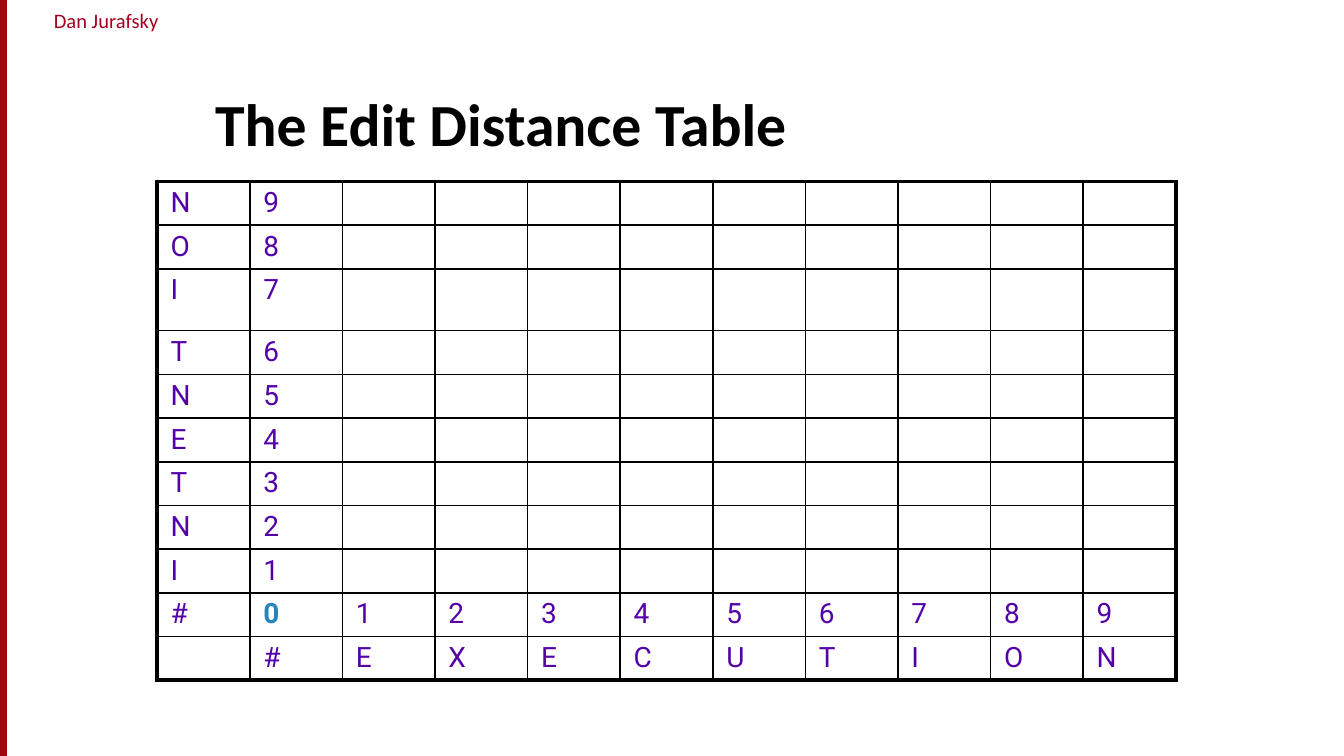
from lxml import etree
from pptx import Presentation
from pptx.dml.color import RGBColor
from pptx.enum.shapes import MSO_SHAPE
from pptx.enum.text import MSO_ANCHOR, PP_ALIGN
from pptx.oxml.ns import qn
from pptx.util import Inches, Pt

RECTANGLE = MSO_SHAPE.RECTANGLE
LEFT, CENTER = PP_ALIGN.LEFT, PP_ALIGN.CENTER
TOP, BOTTOM = MSO_ANCHOR.TOP, MSO_ANCHOR.BOTTOM

BLACK = RGBColor(0x00, 0x00, 0x00)
PURPLE = RGBColor(0x54, 0x00, 0xA8)
BLUE = RGBColor(0x25, 0x84, 0xBB)
CRIMSON = RGBColor(0xA4, 0x00, 0x1D)
RED = RGBColor(0xA4, 0x05, 0x08)

# Content
AUTHOR = "Dan Jurafsky"
TITLE = "The Edit Distance Table"
SOURCE_WORD = "INTENTION"
TARGET_WORD = "EXECUTION"
START = "#"

# Geometry in inches, margins and lines in points
SLIDE_WIDTH = 10
SLIDE_HEIGHT = SLIDE_WIDTH * 9 / 16
BAR_WIDTH = 0.05
TABLE_LEFT, TABLE_TOP, TABLE_WIDTH, TABLE_HEIGHT = 1.17, 1.35, 7.58, 3.71
TALL_ROW, TALL_HEIGHT = 2, 0.46
CELL_MARGINS = (7.2, 2.7)
OUTER_LINE, INNER_LINE = Pt(2.25), Pt(1)


def write(frame, text, font="Calibri", size=15, color=BLACK, bold=False,
          align=LEFT, anchor=TOP, margins=(7.2, 3.6)):
    frame.word_wrap = True
    frame.vertical_anchor = anchor
    frame.margin_left = frame.margin_right = Pt(margins[0])
    frame.margin_top = frame.margin_bottom = Pt(margins[1])
    paragraph = frame.paragraphs[0]
    paragraph.alignment = align
    run = paragraph.add_run()
    run.text = text
    run.font.name = font
    run.font.size = Pt(size)
    run.font.bold = bold
    run.font.color.rgb = color


def style_cell(cell, row, column, last_row, last_column):
    """Clear the fill, fix the margins and draw the four borders."""
    cell.fill.background()
    cell.margin_left = cell.margin_right = Pt(CELL_MARGINS[0])
    cell.margin_top = cell.margin_bottom = Pt(CELL_MARGINS[1])
    properties = cell._tc.get_or_add_tcPr()
    on_edge = {"a:lnL": column == 0, "a:lnR": column == last_column,
               "a:lnT": row == 0, "a:lnB": row == last_row}
    for index, (tag, is_outer) in enumerate(on_edge.items()):
        line = etree.Element(qn(tag), w=str(int(OUTER_LINE if is_outer else INNER_LINE)))
        fill = etree.SubElement(line, qn("a:solidFill"))
        etree.SubElement(fill, qn("a:srgbClr"), val=str(BLACK))
        properties.insert(index, line)


def distance_rows():
    """Source word upwards on the left, target word along the bottom."""
    blanks = [""] * len(TARGET_WORD)
    counts = [str(number) for number in range(len(TARGET_WORD) + 1)]
    rows = [[letter, str(number), *blanks]
            for number, letter in enumerate(SOURCE_WORD, start=1)][::-1]
    return rows + [[START, *counts], ["", START, *TARGET_WORD]]


presentation = Presentation()
presentation.slide_width = Inches(SLIDE_WIDTH)
presentation.slide_height = Inches(SLIDE_HEIGHT)
slide = presentation.slides.add_slide(presentation.slide_layouts[5])

# Author and side bar
author = slide.shapes.add_textbox(Inches(0.08), Inches(0.01), Inches(1.42), Inches(0.29))
write(author.text_frame, AUTHOR, size=11, color=CRIMSON, align=CENTER, margins=(0, 3.6))

bar = slide.shapes.add_shape(RECTANGLE, 0, 0, Inches(BAR_WIDTH), Inches(SLIDE_HEIGHT))
bar.shadow.inherit = False
bar.fill.solid()
bar.fill.fore_color.rgb = RED
bar.line.color.rgb = CRIMSON
bar.line.width = Pt(0.75)

# Edit distance table
rows = distance_rows()
row_count, column_count = len(rows), len(rows[0])
table = slide.shapes.add_table(
    row_count, column_count, Inches(TABLE_LEFT), Inches(TABLE_TOP),
    Inches(TABLE_WIDTH), Inches(TABLE_HEIGHT)).table
table.first_row = table.horz_banding = False
for column in table.columns:
    column.width = Inches(TABLE_WIDTH / column_count)
row_height = (TABLE_HEIGHT - TALL_HEIGHT) / (row_count - 1)
for index, row in enumerate(table.rows):
    row.height = Inches(TALL_HEIGHT if index == TALL_ROW else row_height)

for row_index, values in enumerate(rows):
    for column_index, value in enumerate(values):
        cell = table.cell(row_index, column_index)
        style_cell(cell, row_index, column_index, row_count - 1, column_count - 1)
        if value:
            is_origin = value == "0"
            write(cell.text_frame, value, font="Roboto", margins=CELL_MARGINS,
                  color=BLUE if is_origin else PURPLE, bold=is_origin)
        else:
            # Keep empty cells from stretching their row
            paragraph = cell.text_frame.paragraphs[0]
            etree.SubElement(paragraph._p, qn("a:endParaRPr"), sz="1500")

# Title
title = slide.shapes.title
title.left, title.top = Inches(1.5), Inches(0.42)
title.width, title.height = Inches(8.17), Inches(0.81)
write(title.text_frame, TITLE, size=32, bold=True, anchor=BOTTOM)

presentation.save("out.pptx")
